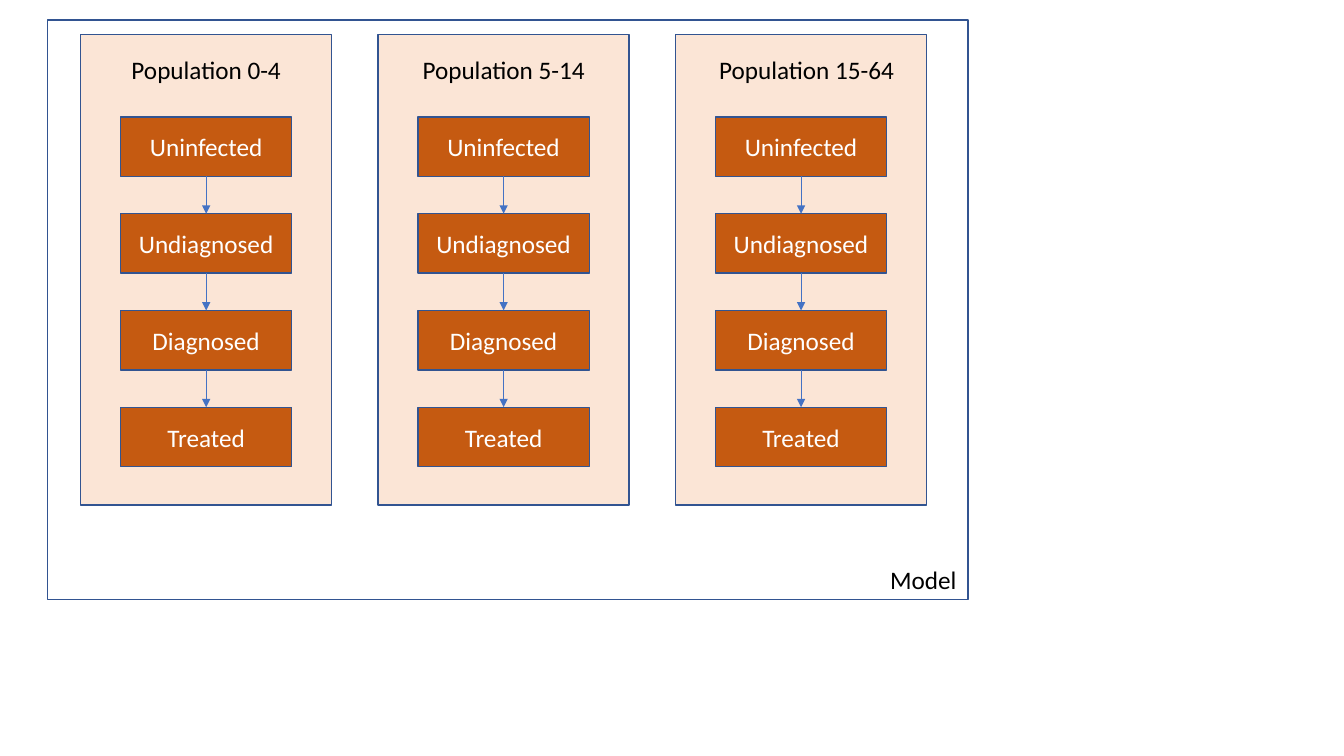
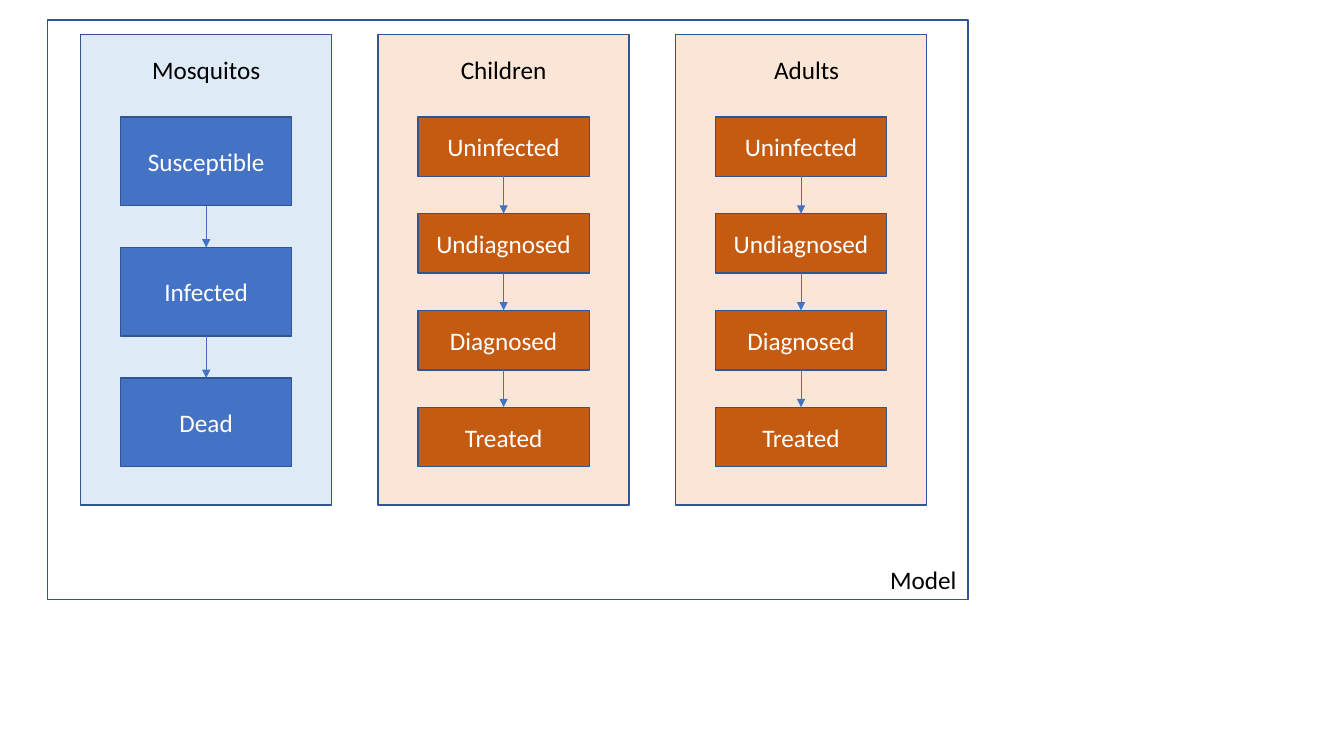
"""Build two slides of population groups and the stages they pass through."""
from lxml import etree
from pptx import Presentation
from pptx import util as u
from pptx.dml.color import RGBColor
from pptx.enum import shapes, text
from pptx.oxml import ns

COLOURS = {"outline": "325491", "arrow": "4472C4", "ink": "000000", "paper": "FFFFFF",
           "human_panel": "FBE5D6", "human_stage": "C55A11",
           "insect_panel": "DEEBF7", "insect_stage": "4472C4"}
FONT = {"name": "Calibri", "size": u.Pt(18)}

KINDS = {
    "human": {"stages": ["Uninfected", "Undiagnosed", "Diagnosed", "Treated"], "height": 0.59},
    "insect": {"stages": ["Susceptible", "Infected", "Dead"], "height": 0.88},
}
SLIDES = [
    [("Population 0-4", "human"), ("Population 5-14", "human"), ("Population 15-64", "human")],
    [("Mosquitos", "insect"), ("Children", "human"), ("Adults", "human")],
]

FRAME = (0.47, 0.2, 9.13, 5.75)
MODEL_LABEL = (8.73, 5.55, 0.87, 0.4)
PANEL_LEFT, PANEL_TOP, PANEL_WIDTH, PANEL_HEIGHT = 0.8, 0.34, 2.49, 4.67
PANEL_STEP = 2.95
HEADING_SPANS = [(0.8, 2.49), (3.75, 2.49), (6.67, 2.66)]
HEADING_TOP, HEADING_HEIGHT = 0.49, 0.4
STAGE_WIDTH, STAGES_TOP, STAGES_BOTTOM = 1.7, 1.16, 4.63
BOTTOM_SITE, TOP_SITE = 2, 0


def colour(name):
    return RGBColor.from_string(COLOURS[name])


def write(box, words, ink="ink", align=text.PP_ALIGN.CENTER, **frame_format):
    frame = box.text_frame
    for key, value in frame_format.items():
        setattr(frame, key, value)
    para = frame.paragraphs[0]
    para.alignment = align
    span = para.add_run()
    span.text = words
    for key, value in FONT.items():
        setattr(span.font, key, value)
    span.font.color.rgb = colour(ink)


def add_box(parent, place, fill=None):
    box = parent.add_shape(shapes.MSO_SHAPE.RECTANGLE, *map(u.Inches, place))
    box.shadow.inherit = False
    if fill:
        box.fill.solid()
        box.fill.fore_color.rgb = colour(fill)
    else:
        box.fill.background()
    box.line.color.rgb = colour("outline")
    box.line.width = u.Pt(1)
    return box


def add_label(page, place, words, **options):
    label = page.shapes.add_textbox(*map(u.Inches, place))
    write(label, words, auto_size=text.MSO_AUTO_SIZE.SHAPE_TO_FIT_TEXT, **options)


def add_arrow(parent, upper, lower):
    arrow = parent.add_connector(shapes.MSO_CONNECTOR.STRAIGHT, 0, 0, 0, 0)
    arrow.begin_connect(upper, BOTTOM_SITE)
    arrow.end_connect(lower, TOP_SITE)
    arrow.line.color.rgb = colour("arrow")
    arrow.line.width = u.Pt(0.5)
    etree.SubElement(arrow.line._get_or_add_ln(), ns.qn("a:tailEnd"), type="triangle")
    etree.SubElement(arrow._element.spPr, ns.qn("a:effectLst"))


def add_stages(page, left, kind):
    stages, height = KINDS[kind]["stages"], KINDS[kind]["height"]
    step = (STAGES_BOTTOM - STAGES_TOP - height) / (len(stages) - 1)
    group = page.shapes.add_group_shape().shapes
    boxes = []
    for row, stage in enumerate(stages):
        place = (left, STAGES_TOP + row * step, STAGE_WIDTH, height)
        box = add_box(group, place, f"{kind}_stage")
        write(box, stage, "paper", word_wrap=True, vertical_anchor=text.MSO_ANCHOR.MIDDLE)
        boxes.append(box)
    for upper, lower in zip(boxes, boxes[1:]):
        add_arrow(group, upper, lower)


def add_population(page, column, heading, kind):
    left = PANEL_LEFT + column * PANEL_STEP
    add_box(page.shapes, (left, PANEL_TOP, PANEL_WIDTH, PANEL_HEIGHT), f"{kind}_panel")
    heading_left, heading_width = HEADING_SPANS[column]
    place = (heading_left, HEADING_TOP, heading_width, HEADING_HEIGHT)
    add_label(page, place, heading, word_wrap=True)
    add_stages(page, left + (PANEL_WIDTH - STAGE_WIDTH) / 2, kind)


deck = Presentation()
deck.slide_width, deck.slide_height = u.Inches(13.33), u.Inches(7.5)
blank = deck.slide_layouts.get_by_name("Blank")
for populations in SLIDES:
    page = deck.slides.add_slide(blank)
    add_box(page.shapes, FRAME)
    add_label(page, MODEL_LABEL, "Model", align=text.PP_ALIGN.LEFT, word_wrap=False)
    for column, (heading, kind) in enumerate(populations):
        add_population(page, column, heading, kind)
deck.save("out.pptx")
